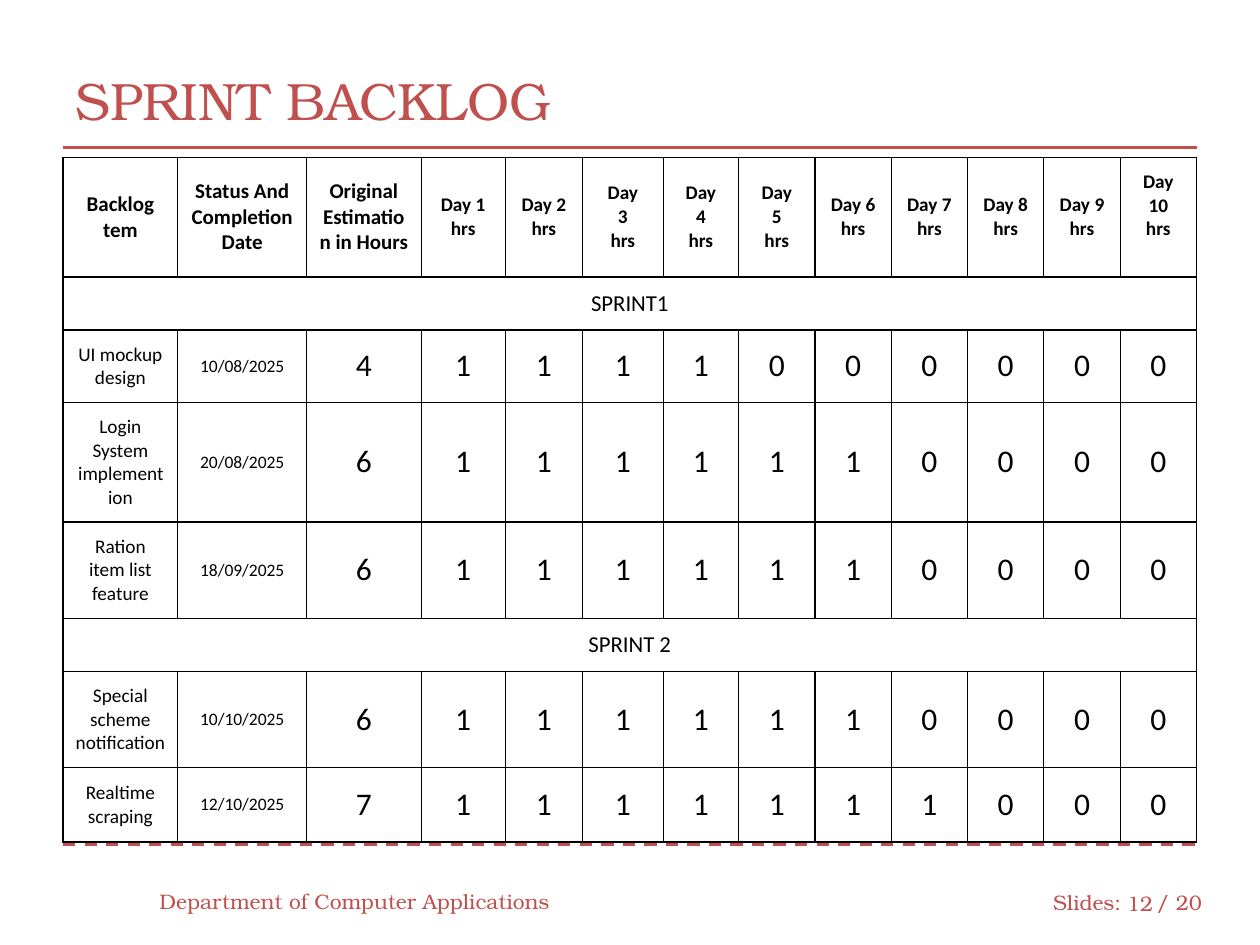
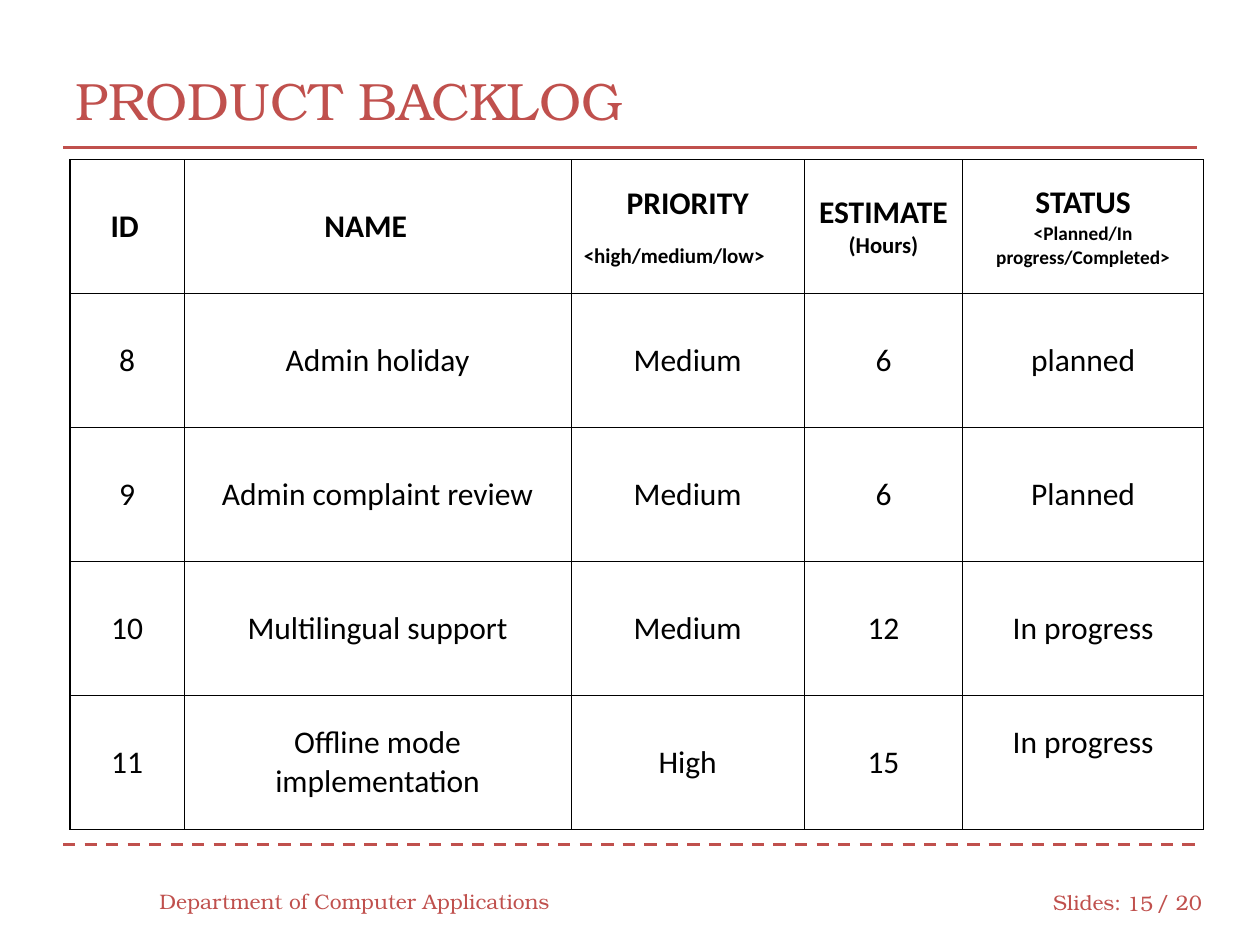
import pptx
import pptx.util
import pptx.dml.color
import pptx.enum.dml
import pptx.enum.shapes
import pptx.enum.text
import lxml.etree

Pt = pptx.util.Pt
ALIGN = pptx.enum.text.PP_ALIGN
MIDDLE = pptx.enum.text.MSO_ANCHOR.MIDDLE
COLORS = {"accent": "C0504D", "ink": "000000", "paper": "FFFFFF"}
HEADING_FONT = "TeX Gyre Bonum"
TABLE_FONT = "Calibri"
PADDING = 7.2
DRAWING = "{http://schemas.openxmlformats.org/drawingml/2006/main}"


def style_text(frame, font, color, sizes, bold=False, align=ALIGN.LEFT):
    frame.word_wrap = True
    for para, size in zip(frame.paragraphs, sizes):
        para.alignment = align
        for span in para.runs:
            span.font.name = font
            span.font.size = Pt(size)
            span.font.bold = bold
            span.font.color.rgb = pptx.dml.color.RGBColor.from_string(COLORS[color])


def add_grid(page, left, top, widths, heights, rows, size_of):
    frame = page.shapes.add_table(len(rows), len(widths), Pt(left), Pt(top),
                                  Pt(sum(widths)), Pt(sum(heights)))
    grid = frame.table
    grid.first_row = False
    grid.horz_banding = False
    for column, width in zip(grid.columns, widths):
        column.width = Pt(width)
    for line, height in zip(grid.rows, heights):
        line.height = Pt(height)
    for row, texts in enumerate(rows):
        if len(texts) == 1:
            grid.cell(row, 0).merge(grid.cell(row, len(widths) - 1))
        for col in range(len(widths)):
            cell = grid.cell(row, col)
            cell.fill.solid()
            cell.fill.fore_color.rgb = pptx.dml.color.RGBColor.from_string(COLORS["paper"])
            cell.vertical_anchor = MIDDLE
            cell.margin_left = cell.margin_right = Pt(PADDING)
            cell.margin_top = cell.margin_bottom = Pt(PADDING)
            properties = cell._tc.get_or_add_tcPr()
            for index, side in enumerate(("lnL", "lnR", "lnT", "lnB")):
                border = lxml.etree.Element(DRAWING + side, w=str(Pt(0.75)))
                fill = lxml.etree.SubElement(border, DRAWING + "solidFill")
                lxml.etree.SubElement(fill, DRAWING + "srgbClr", val=COLORS["ink"])
                properties.insert(index, border)
            if col < len(texts):
                cell.text_frame.text = texts[col]
                style_text(cell.text_frame, TABLE_FONT, "ink", size_of(row, col, texts),
                           row == 0, ALIGN.CENTER)
    return grid


deck = pptx.Presentation()
deck.slide_width = Pt(720)
deck.slide_height = Pt(540)

pages = []
for title, number in (("SPRINT BACKLOG", "12"), ("PRODUCT BACKLOG", "15")):
    page = deck.slides.add_slide(deck.slide_layouts[5])
    pages.append(page)
    heading = page.shapes.title
    heading.left, heading.top, heading.width, heading.height = Pt(36), Pt(24), Pt(648), Pt(66)
    heading.text_frame.text = title
    heading.text_frame.vertical_anchor = MIDDLE
    style_text(heading.text_frame, HEADING_FONT, "accent", [30])

    for height, dash in ((482.4, pptx.enum.dml.MSO_LINE.DASH),
                         (84.2, pptx.enum.dml.MSO_LINE.SOLID)):
        rule = page.shapes.add_connector(pptx.enum.shapes.MSO_CONNECTOR.STRAIGHT,
                                         Pt(36), Pt(height), Pt(684), Pt(height))
        rule.line.color.rgb = pptx.dml.color.RGBColor.from_string(COLORS["accent"])
        rule.line.width = Pt(1.75)
        rule.line.dash_style = dash
        lxml.etree.SubElement(rule._element.spPr, DRAWING + "effectLst")

    for text, left, top, width, align in (
        ("Slides:", 594.7, 501.1, 54, ALIGN.LEFT),
        ("/ 20", 653.8, 501.1, 41.8, ALIGN.LEFT),
        ("Department of Computer Applications", 84, 500.4, 240, ALIGN.LEFT),
        (number, 635.8, 501.8, 30.2, ALIGN.RIGHT),
    ):
        box = page.shapes.add_textbox(Pt(left), Pt(top), Pt(width), Pt(28.8))
        box.text_frame.text = text
        box.text_frame.vertical_anchor = MIDDLE
        style_text(box.text_frame, HEADING_FONT, "accent", [12], align=align)

sprint_page, product_page = pages

day_headers = [f"Day {day}\nhrs" for day in range(1, 11)]
for day in (3, 4, 5):
    day_headers[day - 1] = f"Day\n{day}\nhrs"
sprint_rows = [["Backlog tem", "Status And Completion Date", "Original Estimation in Hours"]
               + day_headers]
for sprint, tasks in (
    ("SPRINT1", (("UI mockup design", "10/08/2025", 4, 4),
                 ("Login System implemention", "20/08/2025", 6, 6),
                 ("Ration item list feature", "18/09/2025", 6, 6))),
    ("SPRINT 2", (("Special scheme notification", "10/10/2025", 6, 6),
                  ("Realtime scraping", "12/10/2025", 7, 7))),
):
    sprint_rows.append([sprint])
    for task, date, estimate, worked_days in tasks:
        sprint_rows.append([task, date, str(estimate)]
                           + ["1"] * worked_days + ["0"] * (10 - worked_days))


def sprint_sizes(row, col, texts):
    if row == 0:
        return [12] if col < 3 else [11] * 3
    if len(texts) == 1:
        return [13]
    return [(11, 10, 18)[min(col, 2)]]


sprint_grid = add_grid(
    sprint_page, 36, 89.8,
    [65.6, 73.6, 65.5, 48, 44.3, 46, 43.2] + [43.6] * 6,
    [68.5, 30.3, 41.3, 68.5, 55, 30.3, 55, 42.6],
    sprint_rows, sprint_sizes)
sprint_grid.cell(0, 12).margin_bottom = Pt(PADDING + 13.4)

product_rows = [
    ["ID", "NAME", "PRIORITY\n<high/medium/low>", "ESTIMATE\n(Hours)",
     "STATUS\n<Planned/In progress/Completed>"],
    ["8", "Admin holiday", "Medium", "6", "planned"],
    ["9", "Admin complaint review", "Medium", "6", "Planned"],
    ["10", "Multilingual support", "Medium", "12", "In progress"],
    ["11", "Offline mode implementation", "High", "15", "In progress"],
]
note_sizes = [18, 18, 12, 13, 11]
product_grid = add_grid(
    product_page, 40, 91.4, [65.2, 221.2, 133.2, 90.6, 137.6], [76.5] * 5,
    product_rows, lambda row, col, texts: [18, note_sizes[col]])

for col, indent in ((0, 16), (1, 73)):
    header = product_grid.cell(0, col)
    header.margin_left = Pt(PADDING + indent)
    header.text_frame.paragraphs[0].alignment = ALIGN.LEFT
priority_note = product_grid.cell(0, 2).text_frame.paragraphs[1]
priority_note.alignment = ALIGN.LEFT
priority_note.space_before = Pt(12)
product_grid.cell(4, 4).margin_bottom = Pt(PADDING + 22)

deck.save("out.pptx")
